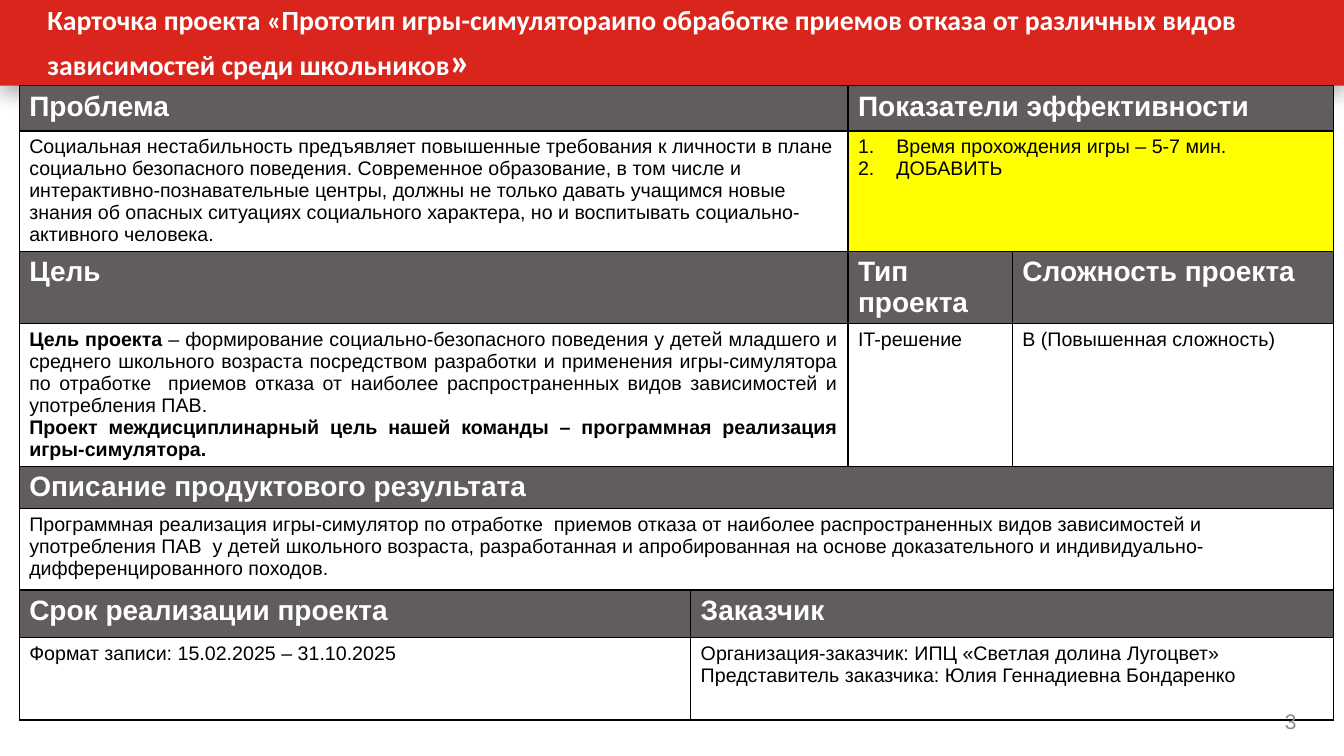
from dataclasses import dataclass

from lxml import etree
from pptx import Presentation
from pptx import util as u
from pptx.dml import color
from pptx.enum import shapes, text
from pptx.oxml import ns

COLORS = {
    "red": "DA251D",
    "gray": "605D5C",
    "yellow": "FFFF00",
    "white": "FFFFFF",
    "black": "000000",
    "number": "8C8C8C",
}
COLUMN_WIDTHS = [6.66, 1.56, 1.63, 3.19]
ROW_HEIGHTS = [0.45, 1.19, 0.72, 1.41, 0.42, 0.81, 0.47, 0.82]
TABLE_LEFT, BANNER_HEIGHT, SLIDE_WIDTH = 0.19, 0.85, 13.33


@dataclass(frozen=True)
class Span:
    content: str
    bold: bool = False


@dataclass(frozen=True)
class Field:
    row: int
    first: int
    last: int
    paragraphs: tuple[tuple[Span, ...], ...]
    fill: str = "white"
    ink: str = "black"
    size: float = 14
    justified: bool = False
    numbered: bool = False


def heading(row: int, first: int, last: int, content: str) -> Field:
    return Field(row, first, last, ((Span(content, True),),), "gray", "white", 20)


def plain(row: int, first: int, last: int, content: str) -> Field:
    return Field(row, first, last, ((Span(content),),))


FIELDS = [
    heading(0, 0, 1, "Проблема"),
    heading(0, 2, 3, "Показатели эффективности"),
    plain(1, 0, 1, "Социальная нестабильность предъявляет повышенные требования к личности в плане "
          "социально безопасного поведения. Современное образование, в том числе и "
          "интерактивно-познавательные центры, должны не только давать учащимся новые знания "
          "об опасных ситуациях социального характера, но и воспитывать "
          "социально-активного человека."),
    Field(1, 2, 3, ((Span("Время прохождения игры – 5-7 мин."),), (Span("ДОБАВИТЬ"),)),
          fill="yellow", numbered=True),
    heading(2, 0, 1, "Цель"),
    heading(2, 2, 2, "Тип проекта"),
    heading(2, 3, 3, "Сложность проекта"),
    Field(3, 0, 1, (
        (Span("Цель проекта ", True),
         Span("– формирование социально-безопасного поведения у детей младшего и среднего "
              "школьного возраста посредством разработки и применения игры-симулятора по "
              "отработке  приемов отказа от наиболее распространенных видов зависимостей "
              "и употребления ПАВ.")),
        (Span("Проект междисциплинарный цель нашей команды – программная реализация "
              "игры-симулятора.", True),),
    ), justified=True),
    plain(3, 2, 2, "IT-решение"),
    plain(3, 3, 3, "В (Повышенная сложность)"),
    heading(4, 0, 3, "Описание продуктового результата"),
    plain(5, 0, 3, "Программная реализация игры-симулятор по отработке  приемов отказа от наиболее "
          "распространенных видов зависимостей и употребления ПАВ  у детей школьного возраста, "
          "разработанная и апробированная на основе доказательного и "
          "индивидуально-дифференцированного походов."),
    heading(6, 0, 0, "Срок реализации проекта"),
    heading(6, 1, 3, "Заказчик"),
    plain(7, 0, 0, "Формат записи: 15.02.2025 – 31.10.2025"),
    plain(7, 1, 3, "Организация-заказчик: ИПЦ «Светлая долина Лугоцвет» "
          "Представитель заказчика: Юлия Геннадиевна Бондаренко"),
]


def rgb(name: str) -> color.RGBColor:
    return color.RGBColor.from_string(COLORS[name])


def add_run(paragraph, content: str, size: float, ink: str, bold: bool, font: str = "Arial") -> None:
    run = paragraph.add_run()
    run.text = content
    run.font.name = font
    run.font.size = u.Pt(size)
    run.font.bold = bold
    run.font.color.rgb = rgb(ink)


def add_solid(parent, name: str):
    solid = etree.SubElement(parent, ns.qn("a:solidFill"))
    return etree.SubElement(solid, ns.qn("a:srgbClr"), val=COLORS[name])


def frame_text(frame) -> None:
    frame.word_wrap = True
    frame.auto_size = text.MSO_AUTO_SIZE.NONE
    frame.vertical_anchor = text.MSO_ANCHOR.MIDDLE
    frame.margin_left = frame.margin_right = u.Inches(0.13)
    frame.margin_top = frame.margin_bottom = u.Inches(0.06)


def add_banner(slide) -> None:
    banner = slide.shapes.add_shape(
        shapes.MSO_SHAPE.RECTANGLE, 0, 0, u.Inches(SLIDE_WIDTH), u.Inches(BANNER_HEIGHT))
    banner.fill.solid()
    banner.fill.fore_color.rgb = rgb("red")
    banner.line.fill.background()
    effects = etree.SubElement(banner.element.spPr, ns.qn("a:effectLst"))
    shadow = etree.SubElement(
        effects, ns.qn("a:outerShdw"), blurRad=str(u.Pt(14)), dist=str(u.Pt(5)),
        dir="5400000", algn="t", rotWithShape="0")
    tint = etree.SubElement(shadow, ns.qn("a:srgbClr"), val=COLORS["black"])
    etree.SubElement(tint, ns.qn("a:alpha"), val="31000")


def style_cell(cell, fill: str) -> None:
    properties = cell._tc.get_or_add_tcPr()
    for side in ("lnL", "lnR", "lnT", "lnB"):
        add_solid(etree.SubElement(properties, ns.qn(f"a:{side}"), w=str(u.Pt(1))), "black")
    cell.fill.solid()
    cell.fill.fore_color.rgb = rgb(fill)
    cell.margin_left = cell.margin_right = u.Inches(0.1)
    cell.margin_top = cell.margin_bottom = u.Inches(0.05)


def fill_field(table, field: Field) -> None:
    for column in range(field.first, field.last + 1):
        style_cell(table.cell(field.row, column), field.fill)
    cell = table.cell(field.row, field.first)
    if field.last > field.first:
        cell.merge(table.cell(field.row, field.last))
    for index, spans in enumerate(field.paragraphs):
        paragraph = cell.text_frame.add_paragraph() if index else cell.text_frame.paragraphs[0]
        paragraph.alignment = text.PP_ALIGN.JUSTIFY if field.justified else text.PP_ALIGN.LEFT
        if field.numbered:
            properties = paragraph._p.get_or_add_pPr()
            properties.set("marL", str(u.Inches(0.38)))
            properties.set("indent", str(-u.Inches(0.38)))
            etree.SubElement(properties, ns.qn("a:buFont"), typeface="+mj-lt")
            etree.SubElement(properties, ns.qn("a:buAutoNum"), type="arabicPeriod")
        for span in spans:
            add_run(paragraph, span.content, field.size, field.ink, span.bold)


def add_card(slide) -> None:
    card = slide.shapes.add_table(
        len(ROW_HEIGHTS), len(COLUMN_WIDTHS), u.Inches(TABLE_LEFT), u.Inches(BANNER_HEIGHT),
        u.Inches(sum(COLUMN_WIDTHS)), u.Inches(sum(ROW_HEIGHTS))).table
    card.first_row = card.horz_banding = False
    for column, width in zip(card.columns, COLUMN_WIDTHS):
        column.width = u.Inches(width)
    for row, height in zip(card.rows, ROW_HEIGHTS):
        row.height = u.Inches(height)
    for field in FIELDS:
        fill_field(card, field)


def add_page_number(slide) -> None:
    page_number = slide.shapes.add_textbox(
        u.Inches(12.16), u.Inches(6.95), u.Inches(0.83), u.Inches(0.4)).text_frame
    frame_text(page_number)
    page_number.paragraphs[0].alignment = text.PP_ALIGN.RIGHT
    add_run(page_number.paragraphs[0], "3", 15, "number", False)


def set_title(slide) -> None:
    title = slide.shapes.title
    title.left, title.top = u.Inches(0.34), u.Inches(0)
    title.width, title.height = u.Inches(12.16), u.Inches(BANNER_HEIGHT)
    frame_text(title.text_frame)
    paragraph = title.text_frame.paragraphs[0]
    paragraph.alignment = text.PP_ALIGN.LEFT
    add_run(paragraph, "Карточка проекта «Прототип игры-симулятораипо обработке приемов отказа "
            "от различных видов зависимостей среди школьников", 19.8, "white", True, "Calibri")
    add_run(paragraph, "»", 27.9, "white", True, "Calibri")
    slide.shapes.element.append(title.element)


def main() -> None:
    deck = Presentation()
    deck.slide_width, deck.slide_height = u.Inches(SLIDE_WIDTH), u.Inches(7.5)
    slide = deck.slides.add_slide(deck.slide_layouts[5])
    add_banner(slide)
    add_card(slide)
    add_page_number(slide)
    set_title(slide)
    deck.save("out.pptx")


if __name__ == "__main__":
    main()
